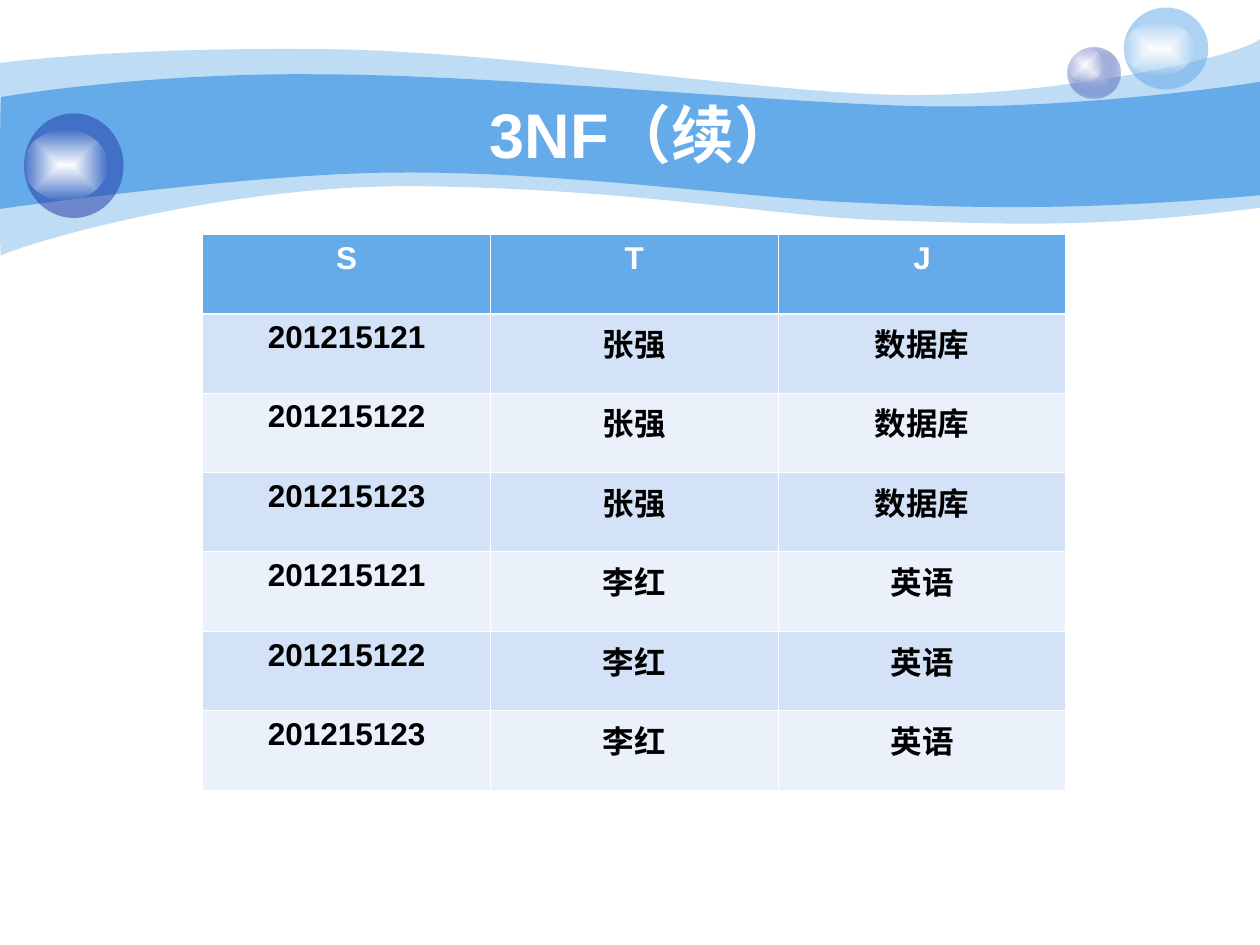
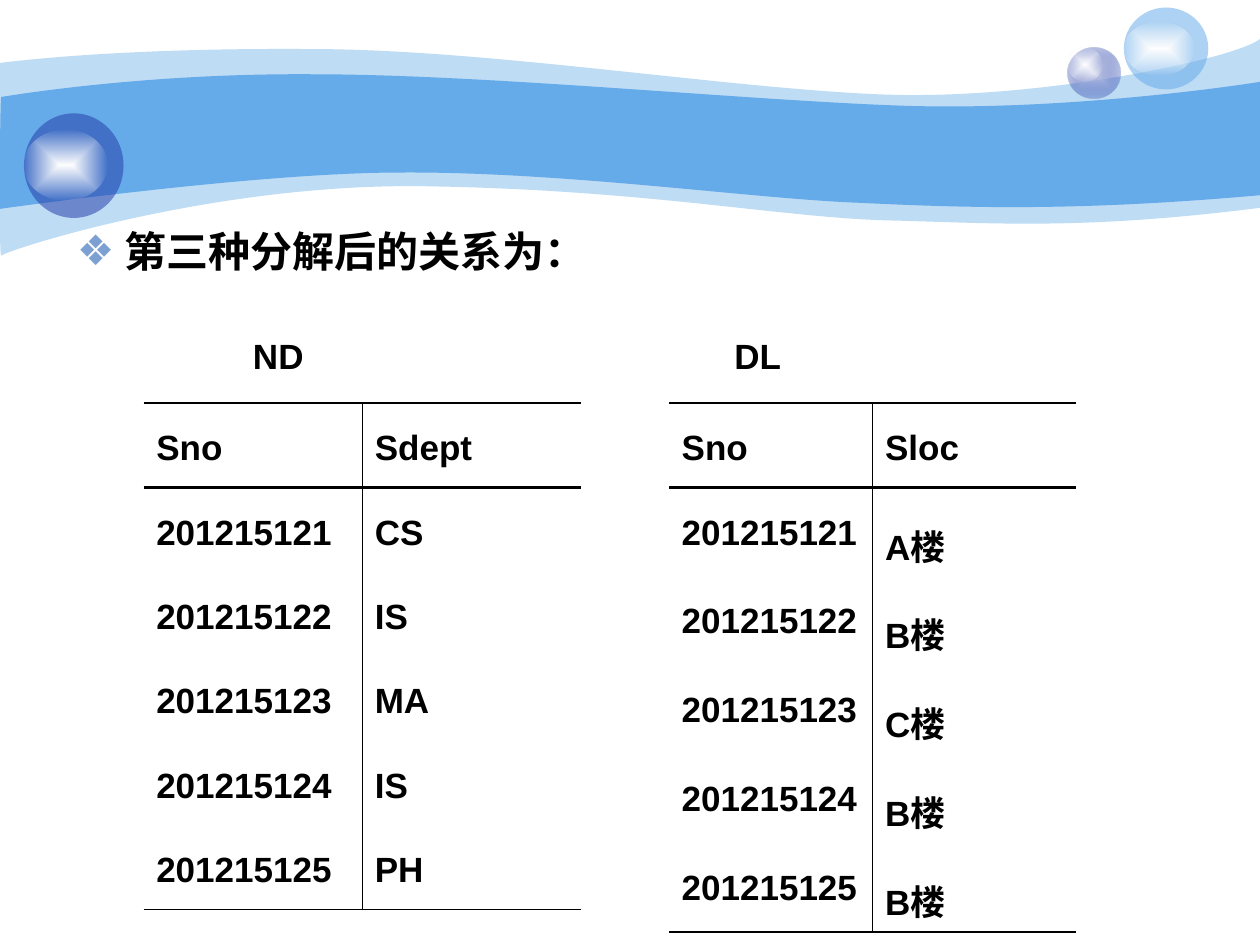
from lxml.etree import SubElement as Sub
from pptx import Presentation
from pptx.enum.shapes import MSO_SHAPE as Shape
from pptx.enum.text import MSO_ANCHOR as Anchor, MSO_AUTO_SIZE as Auto, PP_ALIGN as Align
from pptx.oxml.ns import qn
from pptx.util import Inches, Pt

FONT = "Arial"
BLUE, NAVY, MIST, WHITE, BLACK = "65AAE9", "233DA9", "C7CEE9", "FFFFFF", "000000"
PALE, FAINT, MARK = "D3E2F7", "EAF1FB", "7DA0D3"
PLAIN = "{2D5ABB26-0587-4C30-8999-92F81FD0307C}"  # table style without grid


def paint(part, color, alpha=100, core=None):
    """Fill an XML part with a colour, or with a glow from core out to it."""
    if core:
        fill = Sub(part, qn("a:gradFill"), rotWithShape="1")
        stops = Sub(fill, qn("a:gsLst"))
        tones = [(Sub(stops, qn("a:gs"), pos="0"), core, 100),
                 (Sub(stops, qn("a:gs"), pos="100000"), color, alpha)]
        glow = Sub(fill, qn("a:path"), path="rect")
        Sub(glow, qn("a:fillToRect"), l="50000", t="50000", r="50000", b="50000")
    else:
        tones = [(Sub(part, qn("a:solidFill")), color, alpha)]
    for home, tone, level in tones:
        tint = Sub(home, qn("a:srgbClr"), val=tone)
        if level < 100:
            Sub(tint, qn("a:alpha"), val=str(level * 1000))


def write(frame, text, size=20, color=BLACK, align=Align.LEFT, lead=1.0):
    """Put one bold line of text in a frame."""
    line = frame.paragraphs[0]
    line.alignment, line.line_spacing, line.space_before = align, lead, Pt(0)
    run = line.add_run()
    run.text = text
    run.font.size, run.font.bold = Pt(size), True
    paint(run.font._element, color)
    run.font.name = FONT


deck = Presentation()
deck.slide_width, deck.slide_height = Inches(10), Inches(7.5)
third = deck.slides.add_slide(deck.slide_layouts[5])
split = deck.slides.add_slide(deck.slide_layouts[1])
decor = []

# Wavy bands: a start point, then three points for a curve or one for a line
bands = [
    (41, (0, .5), [
        [(.24, .47), (1.07, .38), (2.47, .39)], [(3.86, .39), (5.75, .7), (6.99, .75)],
        [(8.22, .8), (9.8, .47), (10, .31)], [(10, 1.65)],
        [(8.58, 1.83), (7.87, 1.77), (7.05, 1.75)], [(6.22, 1.73), (5.15, 1.51), (3.43, 1.48)],
        [(1.72, 1.44), (.04, 1.99), (.01, 2.03)], [(-.01, 2.08), (0, .75), (0, .5)]]),
    (100, (.01, .77), [
        [(.02, .77), (1.1, .58), (2.48, .59)], [(3.86, .59), (5.95, .8), (7.18, .84)],
        [(8.41, .88), (9.76, .69), (10, .65)], [(10, 1.55)],
        [(8.53, 1.68), (7.65, 1.65), (6.82, 1.61)], [(5.99, 1.58), (4.47, 1.36), (3.17, 1.37)],
        [(2.03, 1.37), (-.02, 1.66), (-.01, 1.66)], [(0, 1.66), (0, .77), (.01, .77)]]),
]
for alpha, start, parts in bands:
    pen = third.shapes.build_freeform(*map(Inches, start))
    pen.add_line_segments([tuple(map(Inches, dot)) for part in parts for dot in part],
                          close=True)
    band = pen.convert_to_shape()
    # Join each three lines into one curve
    lines = iter(list(band.element.spPr.iter(qn("a:lnTo"))))
    for part in parts:
        curve, *rest = [next(lines) for _ in part]
        if rest:
            curve.tag = qn("a:cubicBezTo")
        for line in rest:
            curve.append(line[0])
            line.getparent().remove(line)
    paint(band.element.spPr, BLUE, alpha)
    decor.append(band)

# Glass balls, each with a white glint
balls = [
    ((8.47, .38, .42, .4), NAVY, 31, MIST), ((8.47, .38, .28, .27), WHITE, 0, WHITE),
    ((8.92, .06, .67, .65), BLUE, 53, None), ((8.92, .17, .56, .43), WHITE, 0, WHITE),
    ((.19, .9, .79, .83), NAVY, 53, None), ((.19, 1.03, .66, .56), WHITE, 0, WHITE),
]
for box, color, alpha, core in balls:
    ball = third.shapes.add_shape(Shape.OVAL, *map(Inches, box))
    paint(ball.element.spPr, color, alpha, core)
    decor.append(ball)

# Move the decor to the master, behind everything
tree = deck.slide_master.shapes.element
for i, item in enumerate(decor):
    item.line.fill.background()
    item.shadow.inherit = False
    item.element.nvSpPr.cNvPr.set("id", str(20 + i))
    tree.insert(2 + i, item.element)

# Title of slide 1
title = third.shapes.title
title.left, title.top, title.width, title.height = map(Inches, (1, .75, 8.08, .62))
title.text_frame.auto_size = Auto.NONE
title.text_frame.vertical_anchor = Anchor.MIDDLE
write(title.text_frame, " 3NF（续）", size=36, color=WHITE, align=Align.CENTER)

# Lead line of slide 2
split.shapes.title.element.getparent().remove(split.shapes.title.element)
body = split.placeholders[1]
body.left, body.top, body.width, body.height = map(Inches, (.51, 1.54, 5.04, .94))
body.text_frame.auto_size = Auto.NONE
props = body.text_frame.paragraphs[0]._p.get_or_add_pPr()
props.set("marL", str(Inches(.38)))
props.set("indent", str(Inches(-.38)))
Sub(Sub(props, qn("a:buClr")), qn("a:srgbClr"), val=MARK)
Sub(props, qn("a:buFont"), typeface=FONT)
Sub(props, qn("a:buChar"), char="❖")
write(body.text_frame, "第三种分解后的关系为：", size=24, lead=1.5)

# Tables
ids = [f"20121512{n}" for n in range(1, 6)]
courses = [("S", "T", "J")]
for name, course in (("张强", "数据库"), ("李红", "英语")):
    courses += [(sno, name, course) for sno in ids[:3]]
depts = [("Sno", "Sdept"), *zip(ids, ("CS", "IS", "MA", "IS", "PH"))]
sites = [("Sno", "Sloc"), *zip(ids, ("A楼", "B楼", "C楼", "B楼", "B楼"))]
grids = [(third, 1.61, 1.86, 6.85, .63, courses, True),
         (split, 1.14, 3.2, 3.47, .67, depts, False),
         (split, 5.31, 3.2, 3.23, .67, sites, False)]
for slide, x, y, wide, high, rows, banded in grids:
    count, span = len(rows), len(rows[0])
    frame = slide.shapes.add_table(count, span, Inches(x), Inches(y),
                                   Inches(wide), Inches(high * count))
    table = frame.table
    table.first_row = table.horz_banding = False
    table._tbl.tblPr.find(qn("a:tableStyleId")).text = PLAIN
    for r, row in enumerate(rows):
        table.rows[r].height = Inches(high)
        for c, text in enumerate(row):
            cell = table.cell(r, c)
            if banded:
                write(cell.text_frame, text, size=18, align=Align.CENTER,
                      color=BLACK if r else WHITE)
                edges = {"L": .45, "R": .45, "T": 1.47 if r == 1 else .45,
                         "B": .45 if r else 1.47}
            else:
                write(cell.text_frame, text, lead=1.5)
                rule = .45 if r else .75
                edges = {"L": rule if c else 0, "R": 0 if c else rule,
                         "T": 1.47 if r < 2 else 0,
                         "B": 1.47 if r == 0 else 1.08 if r == count - 1 else 0}
            props = cell._tc.get_or_add_tcPr()
            for side, width in edges.items():
                edge = Sub(props, qn(f"a:ln{side}"), w=str(Pt(width)))
                if width:
                    paint(edge, WHITE if banded else BLACK)
                else:
                    Sub(edge, qn("a:noFill"))
            if banded:
                paint(props, BLUE if r == 0 else PALE if r % 2 else FAINT)
            else:
                cell.fill.background()

# Names above the tables of slide 2
for text, x, wide in (("ND", 1.91, .73), ("DL", 5.73, 1.32)):
    label = split.shapes.add_textbox(Inches(x), Inches(2.64), Inches(wide), Inches(.4))
    label.text_frame.word_wrap = True
    write(label.text_frame, text, lead=.9)

deck.save("out.pptx")
